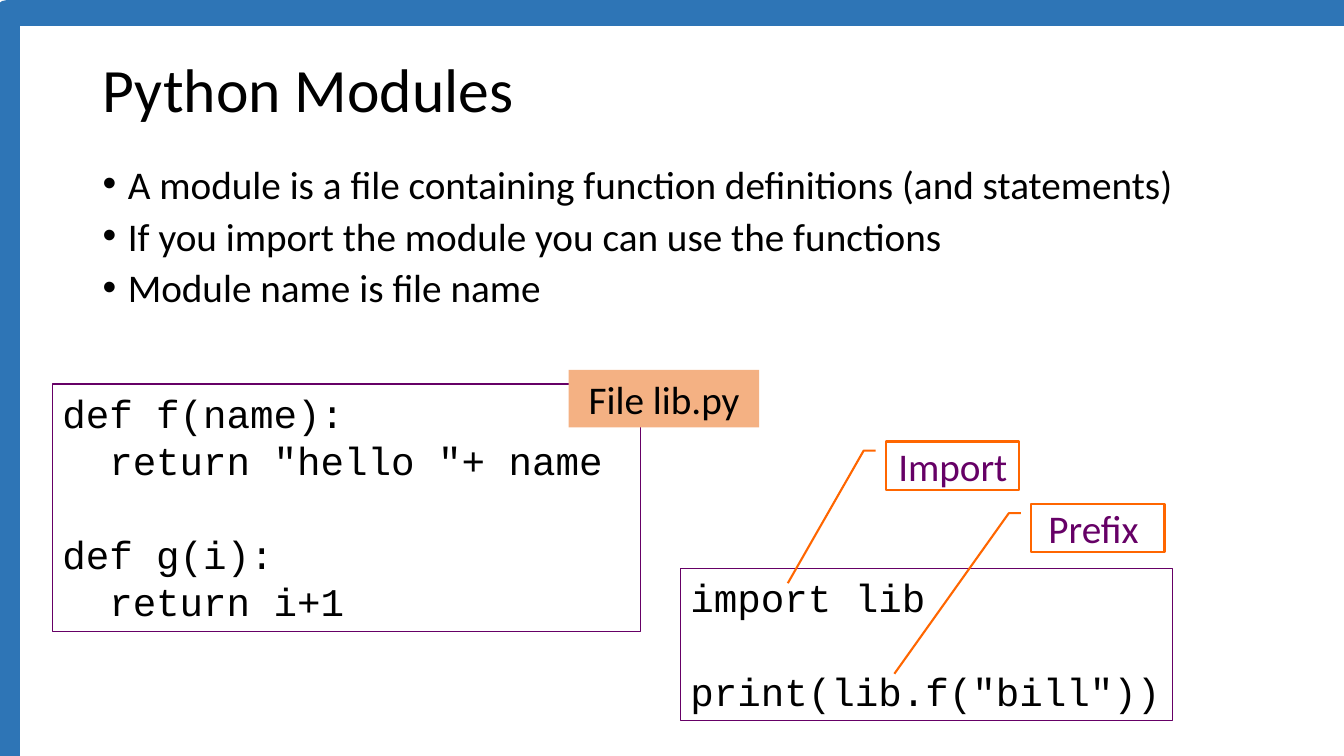
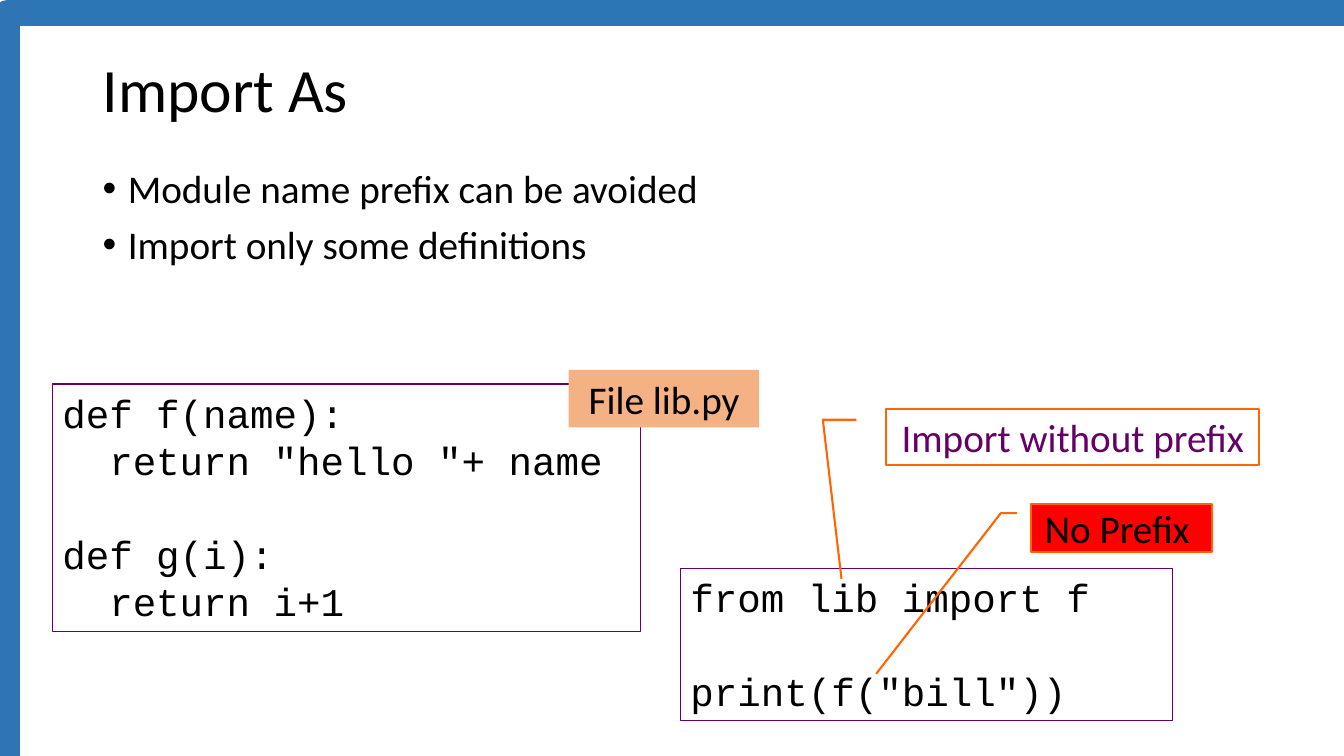
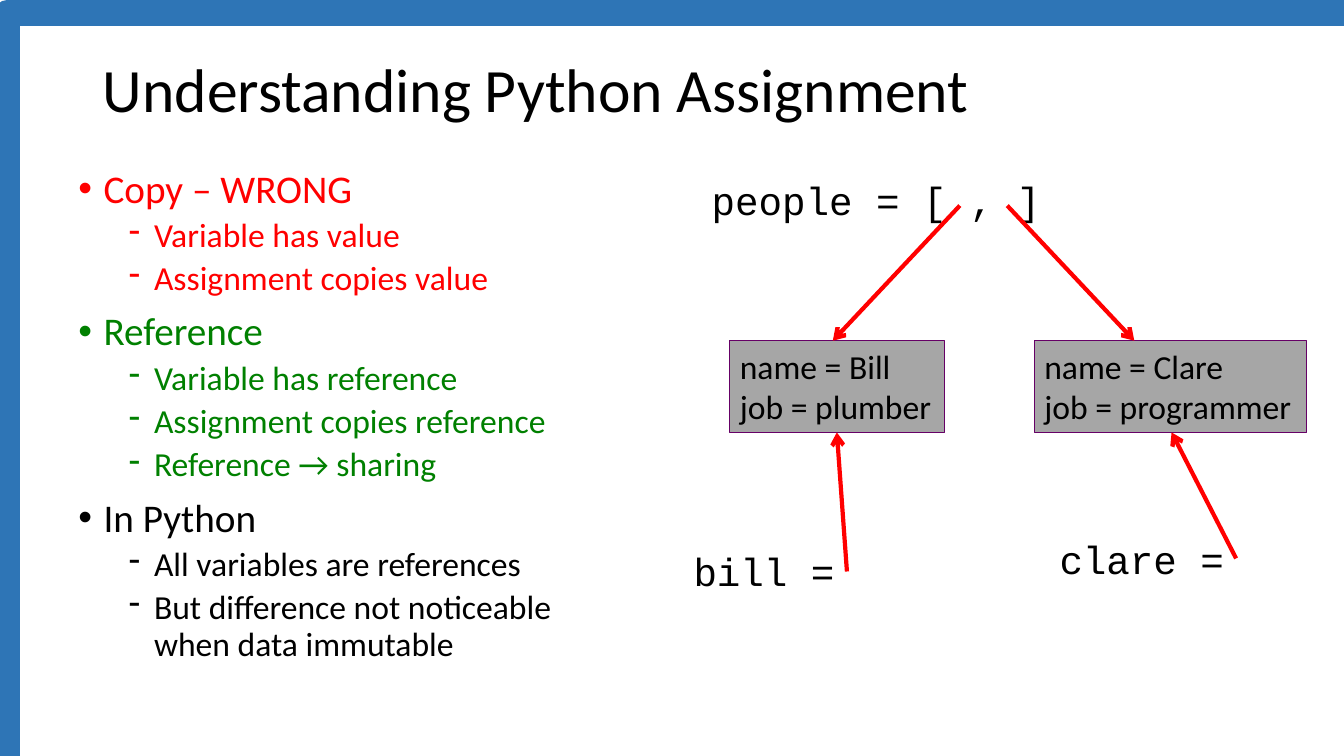
from dataclasses import dataclass

from lxml.etree import SubElement
from pptx import Presentation
from pptx.dml.color import RGBColor
from pptx.enum.shapes import MSO_CONNECTOR, MSO_SHAPE
from pptx.enum.text import MSO_ANCHOR, MSO_AUTO_SIZE, PP_ALIGN
from pptx.oxml.ns import qn
from pptx.util import Inches, Pt


@dataclass(frozen=True)
class Theme:
    black: RGBColor = RGBColor(0x00, 0x00, 0x00)
    white: RGBColor = RGBColor(0xFF, 0xFF, 0xFF)
    blue: RGBColor = RGBColor(0x2E, 0x75, 0xB6)
    purple: RGBColor = RGBColor(0x66, 0x00, 0x66)
    orange: RGBColor = RGBColor(0xFF, 0x66, 0x00)
    peach: RGBColor = RGBColor(0xF4, 0xB1, 0x83)
    gray: RGBColor = RGBColor(0xA6, 0xA6, 0xA6)
    red: RGBColor = RGBColor(0xFF, 0x00, 0x00)
    green: RGBColor = RGBColor(0x00, 0x80, 0x00)
    sans: str = "Calibri"
    mono: str = "Courier New"
    title: int = 44
    text: int = 28
    detail: int = 24


def set_format(target, values):
    for name, value in values.items():
        setattr(target, name, value)


class Deck:
    def __init__(self, theme):
        self.theme = theme
        self.show = Presentation()
        set_format(self.show, {"slide_width": Inches(13.33), "slide_height": Inches(7.5)})
        self.page = None

    def add_page(self, title):
        self.page = self.show.slides.add_slide(self.show.slide_layouts[5])
        self.shape((0.07, 0.13, 13.39, 7.55), line=self.theme.blue, weight=18)
        holder = self.page.shapes.title
        set_format(holder, {"left": Inches(0.92), "top": Inches(0.4),
                            "width": Inches(11.5), "height": Inches(1.04)})
        holder.text_frame.vertical_anchor = MSO_ANCHOR.MIDDLE
        para = holder.text_frame.paragraphs[0]
        set_format(para, {"alignment": PP_ALIGN.LEFT, "line_spacing": 0.9})
        self.span(para, title, self.theme.title)

    def span(self, para, text, size, color=None, font=None):
        run = para.add_run()
        run.text = text
        set_format(run.font, {"size": Pt(size), "name": font or self.theme.sans})
        run.font.color.rgb = color or self.theme.black

    def paragraphs(self, frame, count):
        return [frame.paragraphs[0]] + [frame.add_paragraph() for _ in range(count - 1)]

    def put_text(self, box, lines, size=None, color=None, font=None,
                 align=PP_ALIGN.LEFT, **frame_values):
        size = size or self.theme.text
        frame = box.text_frame
        set_format(frame, {"vertical_anchor": MSO_ANCHOR.TOP, "word_wrap": True} | frame_values)
        for para, line in zip(self.paragraphs(frame, len(lines)), lines):
            para.alignment = align
            if line:
                self.span(para, line, size, color, font)
            else:
                SubElement(para._p, qn("a:endParaRPr"), sz=str(size * 100))

    def shape(self, place, kind=MSO_SHAPE.RECTANGLE, fill=None, line=None, weight=0.75):
        box = self.page.shapes.add_shape(kind, *map(Inches, place))
        box.shadow.inherit = False
        if fill:
            box.fill.solid()
            box.fill.fore_color.rgb = fill
        else:
            box.fill.background()
        if line:
            box.line.color.rgb = line
            box.line.width = Pt(weight)
        else:
            box.line.fill.background()
        return box

    def bullets(self, place, items, spacing=0.9):
        frame = self.page.shapes.add_textbox(*map(Inches, place)).text_frame
        frame.word_wrap = True
        paras = self.paragraphs(frame, len(items))
        for index, (para, (level, text, color)) in enumerate(zip(paras, items)):
            set_format(para, {"level": level, "line_spacing": spacing,
                              "space_before": Pt((10, 5)[level] if index else 0)})
            props = para._p.get_or_add_pPr()
            props.set("marL", str(Inches(0.25 + 0.5 * level)))
            props.set("indent", str(Inches(-0.25)))
            if level == 0:
                SubElement(props, qn("a:buFont"), typeface="Arial")
            SubElement(props, qn("a:buChar"), char="•-"[level])
            size = (self.theme.text, self.theme.detail)[level]
            self.span(para, text, size, color)

    def code(self, place, lines):
        box = self.shape(place, fill=self.theme.white, line=self.theme.purple)
        self.put_text(box, lines, font=self.theme.mono)

    def tag(self, place, text):
        box = self.shape(place, fill=self.theme.peach)
        self.put_text(box, [text], align=PP_ALIGN.CENTER)

    def callout(self, place, text, tip, fill=None):
        box = self.shape(place, MSO_SHAPE.LINE_CALLOUT_2, fill, self.theme.orange, 1.5)
        for index, value in enumerate((0.19, -0.08, 0.19, -0.17, *tip)):
            box.adjustments[index] = value
        self.put_text(box, [text], color=self.theme.black if fill else self.theme.purple,
                      align=PP_ALIGN.CENTER, vertical_anchor=MSO_ANCHOR.MIDDLE,
                      margin_left=Inches(0.04), margin_right=Inches(0.04))

    def record(self, place, lines):
        box = self.shape(place, fill=self.theme.gray, line=self.theme.purple)
        self.put_text(box, lines, self.theme.detail, word_wrap=False)

    def variable(self, place, text):
        box = self.page.shapes.add_textbox(*map(Inches, place))
        self.put_text(box, [text], font=self.theme.mono, word_wrap=False,
                      auto_size=MSO_AUTO_SIZE.SHAPE_TO_FIT_TEXT)

    def arrow(self, start, end):
        link = self.page.shapes.add_connector(
            MSO_CONNECTOR.STRAIGHT, *map(Inches, (*start, *end)))
        link.line.color.rgb = self.theme.red
        link.line.width = Pt(3)
        props = link._element.spPr
        SubElement(props.find(qn("a:ln")), qn("a:tailEnd"), type="arrow")
        SubElement(props, qn("a:effectLst"))

    def module_page(self, title, points, height, spacing, client):
        self.add_page(title)
        self.bullets((0.92, 1.63, 11.5, height),
                     [(0, point, self.theme.black) for point in points], spacing)
        self.code((0.52, 3.81, 5.83, 2.46),
                  ["def f(name):", '  return "hello "+ name', "",
                   "def g(i):", "  return i+1"])
        self.tag((5.64, 3.67, 1.89, 0.57), "File lib.py")
        self.code((6.75, 5.64, 4.88, 1.51), client)


def main():
    theme = Theme()
    deck = Deck(theme)

    deck.module_page(
        "Python Modules",
        ["A module is a file containing function definitions (and statements)",
         "If you import the module you can use the functions",
         "Module name is file name"],
        1.57, 0.8, ["import lib", "", 'print(lib.f("bill"))'])
    deck.callout((8.79, 4.38, 1.32, 0.48), "Import", (2.93, -0.74))
    deck.callout((10.23, 5, 1.32, 0.48), "Prefix ", (3.51, -1.03))

    deck.module_page(
        "Import As",
        ["Module name prefix can be avoided", "Import only some definitions"],
        1.42, 0.9, ["from lib import f", "", 'print(f("bill"))'])
    deck.callout((8.79, 4.06, 3.7, 0.55), "Import without prefix", (3.06, -0.12))
    deck.callout((10.23, 5, 1.79, 0.48), "No Prefix ", (3.51, -0.86), theme.red)

    deck.add_page("Understanding Python Assignment")
    topics = [
        (theme.red, "Copy – WRONG", ["Variable has value", "Assignment copies value"]),
        (theme.green, "Reference", ["Variable has reference",
                                    "Assignment copies reference",
                                    "Reference → sharing"]),
        (theme.black, "In Python", ["All variables are references",
                                    "But difference not noticeable when data immutable"]),
    ]
    deck.bullets((0.68, 1.63, 5.04, 5.67),
                 [(int(index > 0), text, color) for color, topic, details in topics
                  for index, text in enumerate([topic, *details])])
    for place, text in [((6.96, 1.7, 3.5, 0.57), "people = [ , ]"),
                        ((6.78, 5.38, 1.62, 0.57), "bill ="),
                        ((10.41, 5.26, 1.85, 0.57), "clare =")]:
        deck.variable(place, text)
    for left, width, name, job in [(10.26, 2.7, "Clare", "programmer"),
                                   (7.24, 2.13, "Bill", "plumber")]:
        deck.record((left, 3.38, width, 0.91), [f"name = {name}", f"job = {job}"])
    for start, end in [((9.52, 2.04), (8.26, 3.38)), ((9.99, 2.04), (11.25, 3.38)),
                       ((8.4, 5.67), (8.3, 4.29)), ((12.26, 5.54), (11.62, 4.29))]:
        deck.arrow(start, end)

    deck.show.save("out.pptx")


if __name__ == "__main__":
    main()
